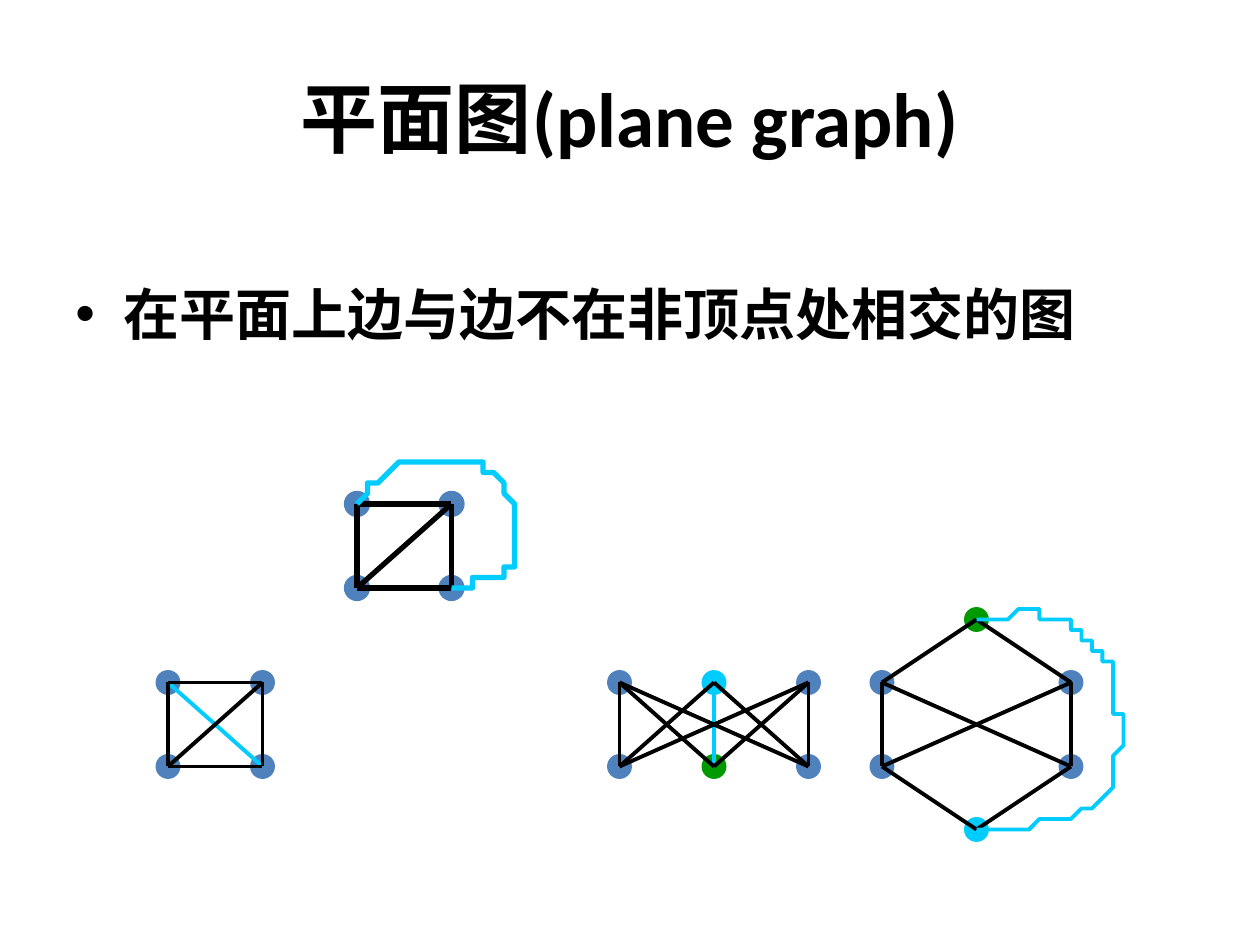
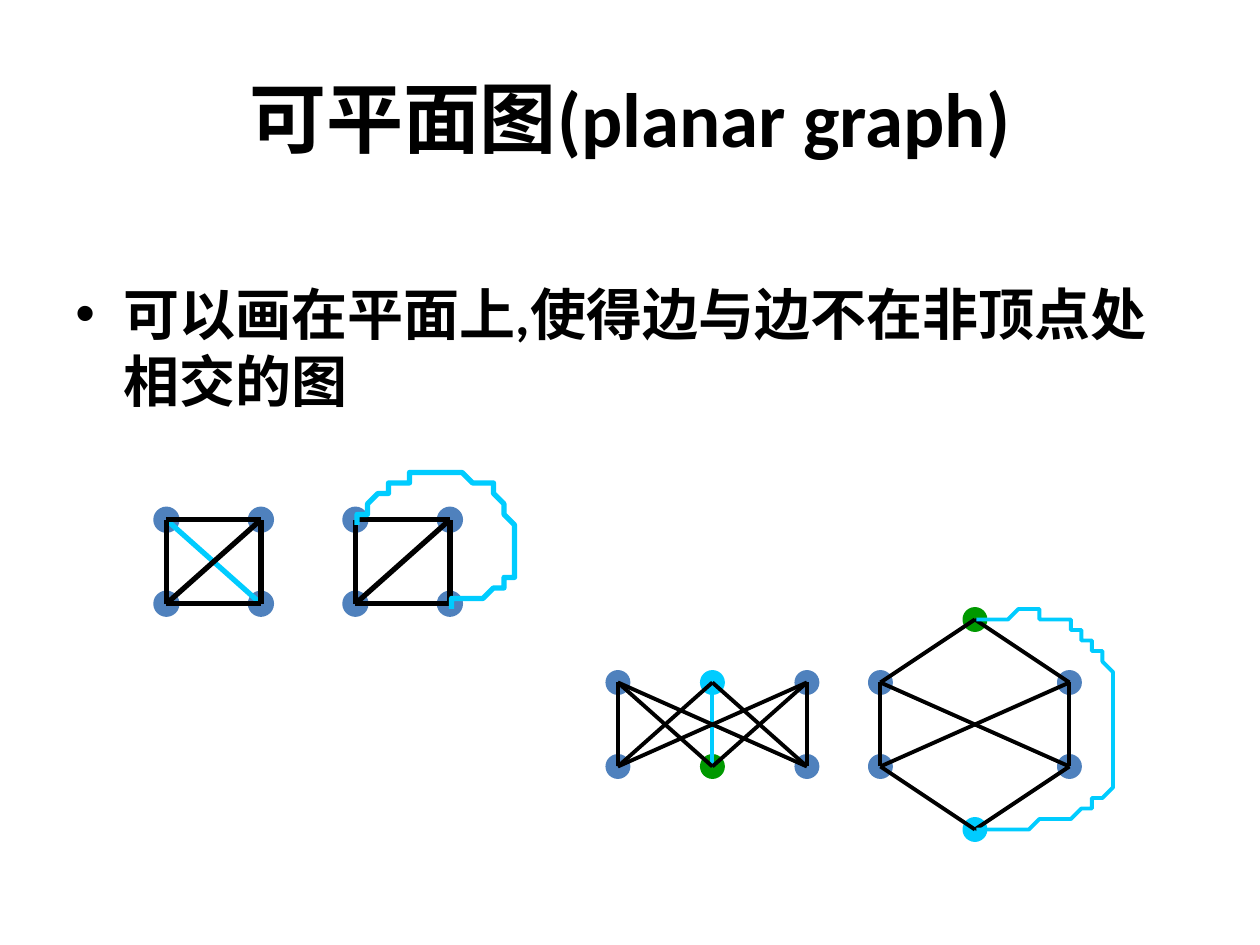
from lxml import etree
from pptx import Presentation
from pptx import util as u
from pptx.dml.color import RGBColor
from pptx.enum import lang, shapes, text
from pptx.oxml import ns

HEX = {"node": "4F81BD", "ink": "000000", "cyan": "00CCFF", "green": "009900"}
FONT = "Calibri"
WIDE, HIGH = u.Inches(10), u.Inches(7.5)
CELL = WIDE / 120
STEPS = 16

BOX = {"a": (0, 0), "b": (9, 0), "c": (0, 8), "d": (9, 8)}
CROSS = {
    "nodes": BOX,
    "edges": "ca db cb cd ab",
    "extra": "ad",
}
LOOP = {
    "nodes": BOX,
    "edges": "ca db cb cd ab",
    "curve": [(0, 0), (1.4, -1.8), (2.8, -3.5), (5, -4),
              (7.2, -4.5), (11.3, -4.5), (13, -3),
              (14.7, -1.5), (15.7, 3.1), (15, 5),
              (14.3, 6.9), (11.7, 7.4), (9, 8)],
}
SIX = {
    "nodes": {"a": (0, 0), "b": (9, 0), "c": (18, 0),
              "d": (0, 8), "e": (9, 8), "f": (18, 8)},
    "tints": {"b": "cyan", "e": "green"},
    "edges": "da ae db fc bf ec af dc",
    "extra": "eb",
}
RING = {
    "nodes": {"a": (0, 0), "b": (9, 14), "c": (18, 0),
              "d": (0, 8), "e": (9, -6), "f": (18, 8)},
    "tints": {"b": "cyan", "e": "green"},
    "edges": "da ae db fc bf ec af dc",
    "curve": [(9, -6), (11.9, -6.5), (14.9, -7), (17, -6),
              (19.2, -5), (21.4, -2.8), (22, 0),
              (22.7, 2.8), (23.2, 8.7), (21, 11),
              (18.9, 13.4), (13.9, 13.7), (9, 14)],
}


def tint(name):
    return RGBColor.from_string(HEX[name])


def write(frame, words, size, align=None, anchor=None, bullet=False):
    frame.word_wrap = True
    frame.vertical_anchor = anchor
    para = frame.paragraphs[0]
    para.alignment = align
    run = para.add_run()
    run.text = words
    font = run.font
    font.name, font.size, font.bold = FONT, u.Pt(size), True
    font.color.rgb = tint("ink")
    font.language_id = lang.MSO_LANGUAGE_ID.SIMPLIFIED_CHINESE
    if bullet:
        para.space_before = u.Pt(8)
        props = para._p.get_or_add_pPr()
        props.set("marL", str(u.Inches(0.38)))
        props.set("indent", str(-u.Inches(0.38)))
        etree.SubElement(props, ns.qn("a:buFont"), typeface="Arial")
        etree.SubElement(props, ns.qn("a:buChar"), char="•")


def stroke(shape, name, width):
    shape.line.color.rgb = tint(name)
    shape.line.width = u.Pt(width)


def dot(group, spot, name, width):
    x, y = spot
    shape = group.shapes.add_shape(
        shapes.MSO_SHAPE.OVAL, round((x - 1) * CELL), round((y - 1) * CELL),
        round(2 * CELL), round(2 * CELL))
    shape.shadow.inherit = False
    shape.fill.solid()
    shape.fill.fore_color.rgb = tint(name)
    stroke(shape, name, width)


def edge(group, start, end, name, width):
    ends = [round(part * CELL) for part in (*start, *end)]
    line = group.shapes.add_connector(shapes.MSO_CONNECTOR.STRAIGHT, *ends)
    etree.SubElement(line._element.spPr, ns.qn("a:effectLst"))
    stroke(line, name, width)


def bend(p, q, r, s, t):
    return tuple((1 - t) ** 3 * a + 3 * (1 - t) ** 2 * t * b
                 + 3 * (1 - t) * t ** 2 * c + t ** 3 * d
                 for a, b, c, d in zip(p, q, r, s))


def curve(group, points, name, width):
    spots = [bend(*points[i:i + 4], step / STEPS)
             for i in range(0, len(points) - 1, 3)
             for step in range(1, STEPS + 1)]
    pen = group.shapes.build_freeform(*points[0], scale=CELL)
    pen.add_line_segments(spots, close=False)
    shape = pen.convert_to_shape()
    shape.shadow.inherit = False
    shape.fill.background()
    stroke(shape, name, width)


def graph(slide, plan, left, top, width):
    def shift(spot):
        return spot[0] + left, spot[1] + top

    group = slide.shapes.add_group_shape()
    nodes = {key: shift(spot) for key, spot in plan["nodes"].items()}
    for key, spot in nodes.items():
        dot(group, spot, plan.get("tints", {}).get(key, "node"), width)
    if "extra" in plan:
        start, end = plan["extra"]
        edge(group, nodes[start], nodes[end], "cyan", width)
    for start, end in plan["edges"].split():
        edge(group, nodes[start], nodes[end], "ink", width)
    if "curve" in plan:
        curve(group, [shift(spot) for spot in plan["curve"]], "cyan", width)


def page(deck, title, point):
    slide = deck.slides.add_slide(deck.slide_layouts[5])
    head = slide.shapes.title
    head.left, head.top = round(WIDE * 0.05), round(HIGH * 0.04)
    head.width, head.height = round(WIDE * 0.9), u.Inches(1.25)
    write(head.text_frame, title, 44, align=text.PP_ALIGN.CENTER,
          anchor=text.MSO_ANCHOR.MIDDLE)
    body = slide.shapes.add_textbox(
        round(WIDE * 0.05), u.Inches(2.17), round(WIDE * 0.9),
        round(HIGH * 0.45))
    write(body.text_frame, point, 32, anchor=text.MSO_ANCHOR.TOP, bullet=True)
    return slide


def main():
    deck = Presentation()
    deck.slide_width, deck.slide_height = WIDE, HIGH

    plane = page(deck, "平面图(plane graph)", "在平面上边与边不在非顶点处相交的图")
    planar = page(deck, "可平面图(planar graph)",
                  "可以画在平面上,使得边与边不在非顶点处相交的图")
    for slide, shift, cross, loop, width in (
            (plane, 0, 65, 48, 2.25), (planar, -0.15, 49.5, 49.5, 3)):
        graph(slide, CROSS, 16 + shift, cross, width)
        graph(slide, LOOP, 34 + shift, loop, 3)
        graph(slide, SIX, 59 + shift, 65, 2.25)
        graph(slide, RING, 84 + shift, 65, 2.25)
    deck.save("out.pptx")


if __name__ == "__main__":
    main()
